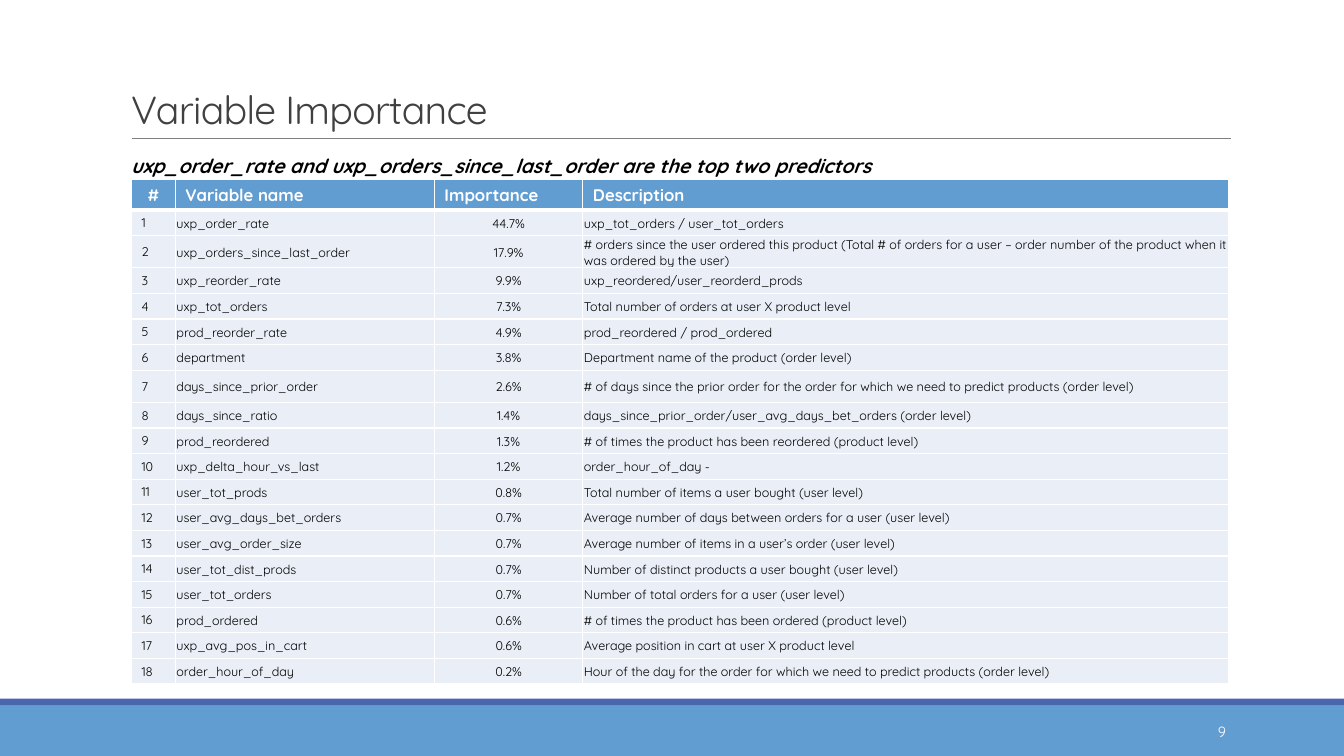
from dataclasses import dataclass
from typing import NamedTuple

from lxml.etree import SubElement
from pptx import Presentation
from pptx.dml.color import RGBColor
from pptx.enum.shapes import MSO_CONNECTOR, MSO_SHAPE
from pptx.enum.text import MSO_ANCHOR, PP_ALIGN
from pptx.oxml import parse_xml
from pptx.oxml.ns import nsdecls, qn
from pptx.util import Pt


@dataclass(frozen=True)
class Theme:
    font: str = "Quicksand"
    white: str = "FFFFFF"
    black: str = "000000"
    title: str = "404040"
    rule: str = "808080"
    sky: str = "629DD1"
    navy: str = "4A66AC"
    row: str = "EAEFF7"
    title_size: float = 28
    subtitle_size: float = 14
    header_size: float = 12
    number_size: float = 10.5
    body_size: float = 9


class Area(NamedTuple):
    left: float
    top: float
    width: float
    height: float


class Variable(NamedTuple):
    name: str
    importance: str
    description: str


class Column(NamedTuple):
    heading: str
    width: float
    heading_align: PP_ALIGN
    align: PP_ALIGN
    tight: bool


THEME = Theme()
LEFT, CENTER, RIGHT = PP_ALIGN.LEFT, PP_ALIGN.CENTER, PP_ALIGN.RIGHT
SLIDE_WIDTH, SLIDE_HEIGHT = 960, 540
HEADER_HEIGHT, ROW_HEIGHT, TALL_HEIGHT = 20.5, 18.3, 23
TALL_ROWS = (2, 7)
TIGHT_INSET = 0.75

COLUMNS = (
    Column("#", 31.4, CENTER, LEFT, False),
    Column("Variable name", 185, LEFT, LEFT, True),
    Column("Importance", 106.1, LEFT, CENTER, True),
    Column("Description", 461.5, LEFT, LEFT, True),
)

VARIABLES = (
    Variable("uxp_order_rate", "44.7%", "uxp_tot_orders / user_tot_orders"),
    Variable("uxp_orders_since_last_order", "17.9%",
             "# orders since the user ordered this product (Total # of orders for a user "
             "– order number of the product when it was ordered by the user)"),
    Variable("uxp_reorder_rate", "9.9%", "uxp_reordered/user_reorderd_prods"),
    Variable("uxp_tot_orders", "7.3%", "Total number of orders at user X product level"),
    Variable("prod_reorder_rate", "4.9%", "prod_reordered / prod_ordered"),
    Variable("department", "3.8%", "Department name of the product (order level)"),
    Variable("days_since_prior_order", "2.6%",
             "# of days since the prior order for the order for which we need to "
             "predict products (order level)"),
    Variable("days_since_ratio", "1.4%",
             "days_since_prior_order/user_avg_days_bet_orders (order level)"),
    Variable("prod_reordered", "1.3%",
             "# of times the product has been reordered (product level)"),
    Variable("uxp_delta_hour_vs_last", "1.2%", "order_hour_of_day -"),
    Variable("user_tot_prods", "0.8%", "Total number of items a user bought (user level)"),
    Variable("user_avg_days_bet_orders", "0.7%",
             "Average number of days between orders for a user (user level)"),
    Variable("user_avg_order_size", "0.7%",
             "Average number of items in a user’s order (user level)"),
    Variable("user_tot_dist_prods", "0.7%",
             "Number of distinct products a user bought (user level)"),
    Variable("user_tot_orders", "0.7%", "Number of total orders for a user (user level)"),
    Variable("prod_ordered", "0.6%", "# of times the product has been ordered (product level)"),
    Variable("uxp_avg_pos_in_cart", "0.6%", "Average position in cart at user X product level"),
    Variable("order_hour_of_day", "0.2%",
             "Hour of the day for the order for which we need to predict products (order level)"),
)


def write_text(frame, text: str, *, size: float, color: str, align=LEFT, bold=False,
               italic=False, line_spacing=None, letter_spacing=None) -> None:
    para = frame.paragraphs[0]
    para.alignment = align
    if line_spacing is not None:
        para.line_spacing = line_spacing
    span = para.add_run()
    span.text = text
    font = span.font
    font.name, font.size = THEME.font, Pt(size)
    font.bold, font.italic = bold, italic
    font.color.rgb = RGBColor.from_string(color)
    if letter_spacing is not None:
        font._element.set("spc", str(round(letter_spacing * 100)))


def add_text(slide, area: Area, text: str, *, anchor=MSO_ANCHOR.MIDDLE, **style) -> None:
    frame = slide.shapes.add_textbox(*map(Pt, area)).text_frame
    frame.word_wrap = True
    frame.vertical_anchor = anchor
    write_text(frame, text, **style)


def add_band(slide, area: Area, color: str) -> None:
    band = slide.shapes.add_shape(MSO_SHAPE.RECTANGLE, *map(Pt, area))
    band.shadow.inherit = False
    band.fill.solid()
    band.fill.fore_color.rgb = RGBColor.from_string(color)
    band.line.fill.background()


def add_rule(slide, left: float, right: float, top: float) -> None:
    rule = slide.shapes.add_connector(MSO_CONNECTOR.STRAIGHT, Pt(left), Pt(top), Pt(right), Pt(top))
    rule.line.color.rgb = RGBColor.from_string(THEME.rule)
    rule.line.width = Pt(0.5)
    SubElement(rule._element.spPr, qn("a:effectLst"))


def style_cell(cell, fill: str, top_width: float, bottom_width: float) -> None:
    cell.vertical_anchor = MSO_ANCHOR.MIDDLE
    cell.fill.solid()
    cell.fill.fore_color.rgb = RGBColor.from_string(fill)
    properties = cell._tc.get_or_add_tcPr()
    edges = (("L", 1), ("R", 1), ("T", top_width), ("B", bottom_width))
    for index, (edge, width) in enumerate(edges):
        properties.insert(index, parse_xml(
            f'<a:ln{edge} {nsdecls("a")} w="{Pt(width)}"><a:solidFill>'
            f'<a:srgbClr val="{THEME.white}"/></a:solidFill></a:ln{edge}>'))


def row_height(index: int) -> float:
    if index == 0:
        return HEADER_HEIGHT
    return TALL_HEIGHT if index in TALL_ROWS else ROW_HEIGHT


def add_importance_table(slide, left: float, top: float) -> None:
    heights = [row_height(index) for index in range(len(VARIABLES) + 1)]
    area = Area(left, top, sum(column.width for column in COLUMNS), sum(heights))
    table = slide.shapes.add_table(len(heights), len(COLUMNS), *map(Pt, area)).table
    for row, height in zip(table.rows, heights):
        row.height = Pt(height)
    for position, column in enumerate(COLUMNS):
        table.columns[position].width = Pt(column.width)
        heading = table.cell(0, position)
        style_cell(heading, THEME.sky, 1, 3)
        write_text(heading.text_frame, column.heading, size=THEME.header_size,
                   color=THEME.white, bold=True, align=column.heading_align)
        for rank, variable in enumerate(VARIABLES, start=1):
            cell = table.cell(rank, position)
            style_cell(cell, THEME.row, 3 if rank == 1 else 1, 1)
            if column.tight:
                cell.margin_left = cell.margin_right = cell.margin_top = Pt(TIGHT_INSET)
                cell.margin_bottom = Pt(0)
            write_text(cell.text_frame, (str(rank), *variable)[position],
                       size=THEME.body_size, color=THEME.black, align=column.align)


def main() -> None:
    deck = Presentation()
    deck.slide_width, deck.slide_height = Pt(SLIDE_WIDTH), Pt(SLIDE_HEIGHT)
    slide = deck.slides.add_slide(deck.slide_layouts[6])
    add_band(slide, Area(0, 504, SLIDE_WIDTH, 36), THEME.sky)
    add_band(slide, Area(0, 499, SLIDE_WIDTH, 5), THEME.navy)
    add_rule(slide, 94.3, 879, 98.8)
    add_text(slide, Area(86.6, 30.2, 792, 67.7), "Variable Importance",
             anchor=MSO_ANCHOR.BOTTOM, size=THEME.title_size, color=THEME.title,
             line_spacing=0.85, letter_spacing=-0.5)
    add_text(slide, Area(779.8, 508.4, 103, 28.8), "9", size=THEME.number_size,
             color=THEME.white, align=RIGHT)
    add_importance_table(slide, 93.9, 128.4)
    add_text(slide, Area(86.6, 100, 817.2, 36),
             "uxp_order_rate and uxp_orders_since_last_order are the top two predictors",
             size=THEME.subtitle_size, color=THEME.black, bold=True, italic=True)
    deck.save("out.pptx")


if __name__ == "__main__":
    main()
